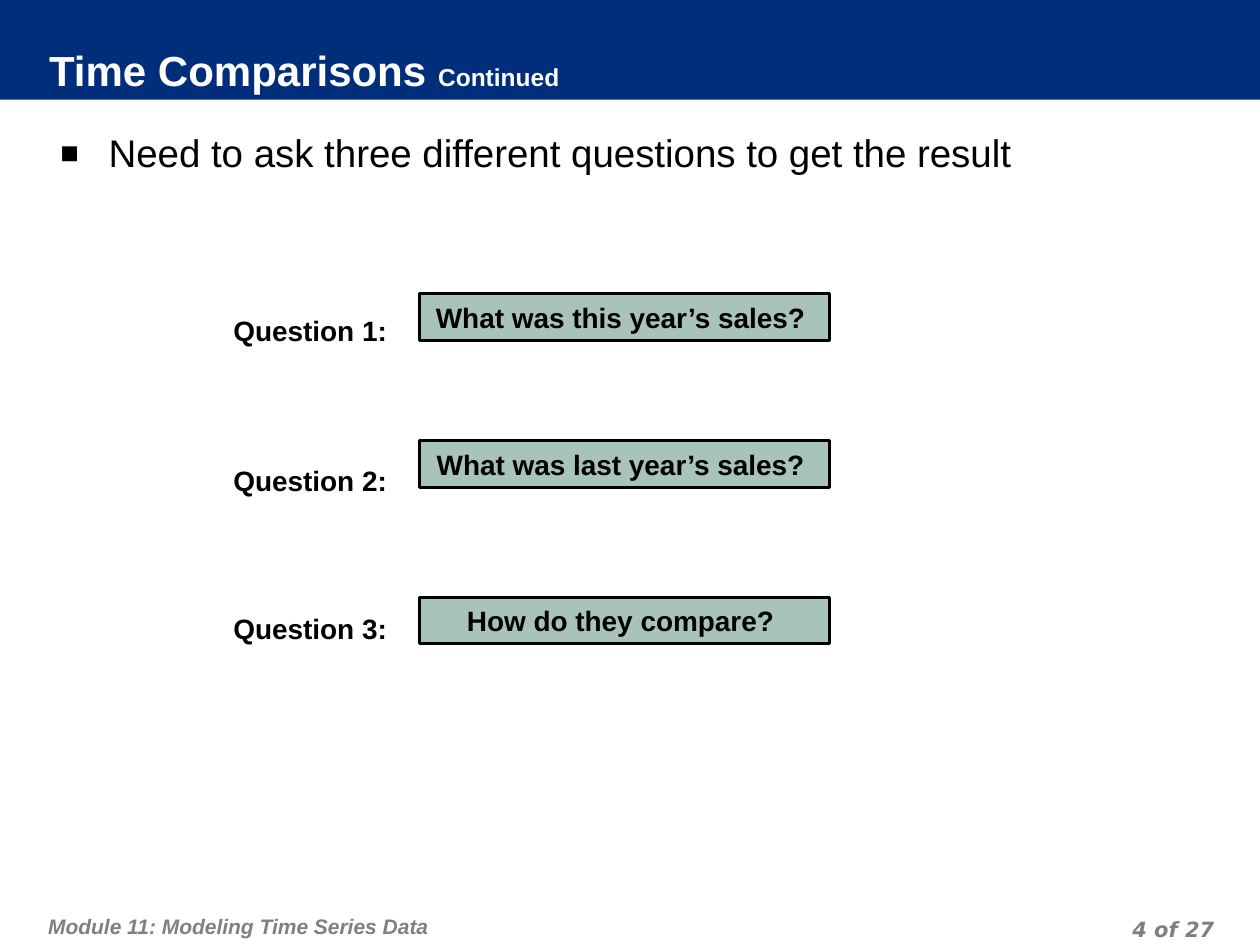
from typing import NamedTuple

from lxml.etree import SubElement
from pptx import Presentation
from pptx.dml.color import RGBColor
from pptx.enum.shapes import MSO_SHAPE as Shape
from pptx.enum.text import MSO_ANCHOR as Anchor, PP_ALIGN as Align
from pptx.oxml.ns import qn
from pptx.util import Cm, Pt

NAVY = RGBColor(0x00, 0x2E, 0x7A)
SAGE = RGBColor(0xA8, 0xC2, 0xBC)
GRAY = RGBColor(0x80, 0x80, 0x80)
BLACK = RGBColor(0x00, 0x00, 0x00)
WHITE = RGBColor(0xFF, 0xFF, 0xFF)


class Box(NamedTuple):
    left: float
    top: float
    width: float
    height: float


class Style(NamedTuple):
    size: float
    color: RGBColor = BLACK
    bold: bool = True
    slant: bool = False
    face: str = "Arial"


class Query(NamedTuple):
    label: str
    text: str
    low: float
    top: float


QUERIES = (
    Query("Question 1:", "What was this year’s sales? ", 6.2, 5.92),
    Query("Question 2:", "What was last year’s sales? ", 9.22, 8.89),
    Query("Question 3:", "How do they compare? ", 12.19, 12.04),
)
LABEL = Style(16)
FOOT = Style(12, GRAY, slant=True)


def place(box: Box) -> tuple:
    return tuple(Cm(n) for n in box)


def add_rect(slide, box: Box, fill: RGBColor, edge: RGBColor | None = None):
    rect = slide.shapes.add_shape(Shape.RECTANGLE, *place(box))
    rect.shadow.inherit = False
    rect.fill.solid()
    rect.fill.fore_color.rgb = fill
    if edge is None:
        rect.line.fill.background()
    else:
        rect.line.color.rgb = edge
        rect.line.width = Pt(1.75)
    return rect


def set_frame(shape, pads: tuple = (0.25, 0.13, 0.25, 0.13),
              align: Align = Align.LEFT, anchor: Anchor = Anchor.TOP,
              wrap: bool = True):
    frame = shape.text_frame
    frame.word_wrap = wrap
    frame.vertical_anchor = anchor
    (frame.margin_left, frame.margin_top,
     frame.margin_right, frame.margin_bottom) = (Cm(n) for n in pads)
    para = frame.paragraphs[0]
    para.alignment = align
    return para


def add_run(para, text: str, style: Style) -> None:
    run = para.add_run()
    run.text = text
    font = run.font
    font.name = style.face
    font.size = Pt(style.size)
    font.bold = style.bold
    font.italic = style.slant
    font.color.rgb = style.color


def add_bullet(para) -> None:
    props = para._p.get_or_add_pPr()
    props.set("marL", str(Cm(0.97)))
    props.set("indent", str(-Cm(0.97)))
    tint = SubElement(props, qn("a:buClr"))
    SubElement(tint, qn("a:srgbClr"), val=str(BLACK))
    SubElement(props, qn("a:buSzPct"), val="80000")
    SubElement(props, qn("a:buFont"), typeface="Arial")
    SubElement(props, qn("a:buChar"), char="■")


def add_foot(slide, box: Box, pads: tuple, align: Align,
             text: str, style: Style) -> None:
    para = set_frame(slide.shapes.add_textbox(*place(box)), pads, align)
    para.line_spacing = Pt(18)
    add_run(para, text, style)


def add_query(slide, query: Query) -> None:
    rect = add_rect(slide, Box(8.46, query.top, 8.26, 0.94), SAGE, BLACK)
    add_run(set_frame(rect, align=Align.CENTER), query.text, LABEL)
    note = slide.shapes.add_textbox(*place(Box(4.45, query.low, 3.61, 0.94)))
    add_run(set_frame(note, align=Align.CENTER, wrap=False), query.label, LABEL)


def main() -> None:
    deck = Presentation()
    deck.slide_width, deck.slide_height = Cm(25.4), Cm(19.05)
    slide = deck.slides.add_slide(deck.slide_layouts[6])

    add_rect(slide, Box(0, 0, 25.4, 2.01), NAVY)
    add_foot(slide, Box(0.84, 18.03, 15.7, 1.02), (0.13, 0.25, 0.13, 0.13),
             Align.LEFT, "Module 11: Modeling Time Series Data", FOOT)
    add_foot(slide, Box(18.69, 18.34, 5.92, 0.64), (0.13, 0, 0.13, 0),
             Align.RIGHT, "4 of 27", FOOT._replace(face="DejaVu Sans"))

    title = add_rect(slide, Box(0.99, 0.97, 19.99, 1.02), NAVY)
    para = set_frame(title, (0, 0, 0.13, 0.13), anchor=Anchor.MIDDLE)
    add_run(para, "Time Comparisons ", Style(24, WHITE))
    add_run(para, "Continued", Style(14, WHITE))

    body = slide.shapes.add_textbox(*place(Box(0.97, 2.36, 23.62, 15.7)))
    para = set_frame(body, (0.25, 0.25, 0.25, 0.13))
    add_bullet(para)
    add_run(para, "Need to ask three different questions to get the result",
            Style(22, bold=False))

    for query in QUERIES:
        add_query(slide, query)

    deck.save("out.pptx")


if __name__ == "__main__":
    main()
